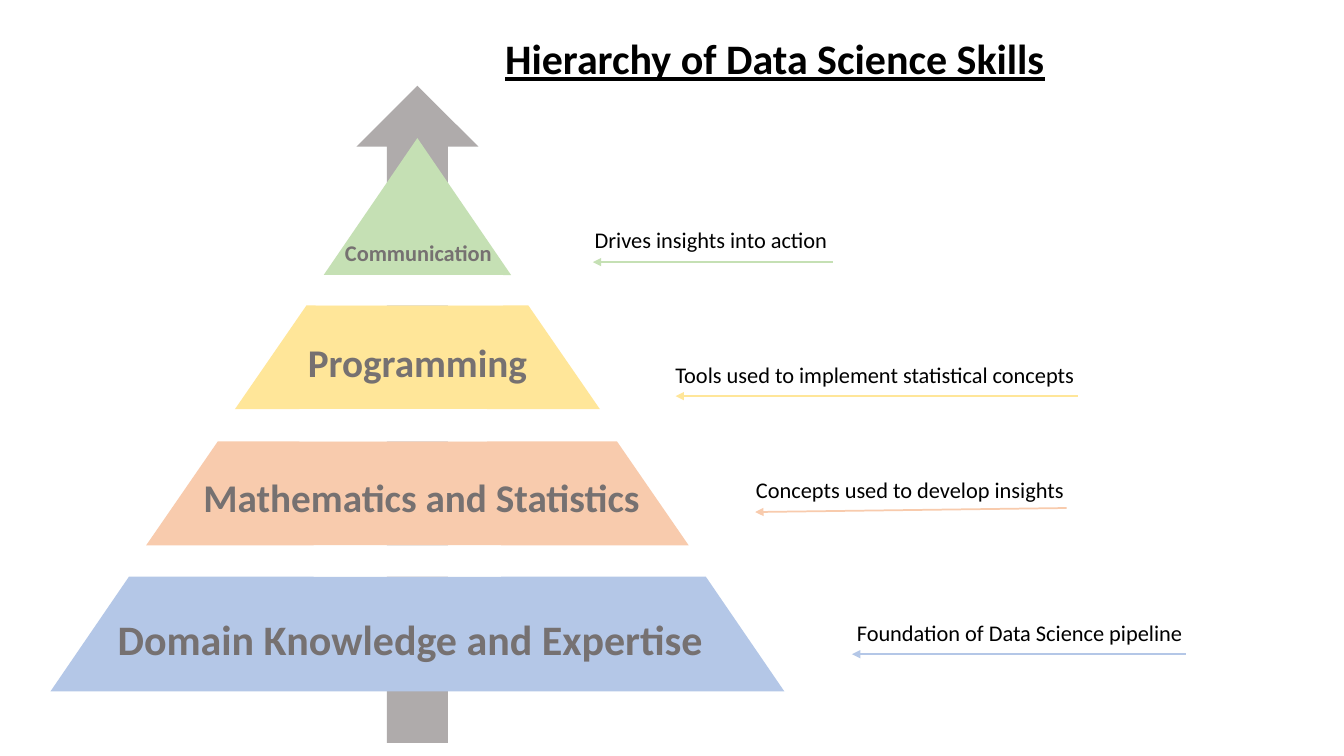
from pptx import Presentation
from pptx.dml.color import RGBColor
from pptx.enum.shapes import MSO_CONNECTOR, MSO_SHAPE
from pptx.enum.text import MSO_ANCHOR, PP_ALIGN
from pptx.oxml.ns import qn
from pptx.util import Inches, Pt
from lxml import etree

UP_ARROW, RECTANGLE = MSO_SHAPE.UP_ARROW, MSO_SHAPE.RECTANGLE
STRAIGHT = MSO_CONNECTOR.STRAIGHT
LEFT, CENTER = PP_ALIGN.LEFT, PP_ALIGN.CENTER
MIDDLE = MSO_ANCHOR.MIDDLE

THEME = {
    "font": "Calibri",
    "text": "000000", "label": "767171", "arrow": "AFABAB", "gap": "FFFFFF",
    "green": "C5E0B4", "yellow": "FFE699", "orange": "F8CBAD", "blue": "B4C7E7",
    "title_size": 30, "note_size": 16, "pointer_width": 1.25,
}

# The grid has square cells of one inch; the pyramid is symmetric about AXIS
CELL = Inches(1)
AXIS = 4.14
ARROW_WIDTH = 1.21
GAP_WIDTH = 1.86
NOTE_WIDTH, NOTE_HEIGHT = 4.36, 0.37
LABEL_HEIGHT = 0.6


def grid(*cells):
    return [round(cell * CELL) for cell in cells]


def write(frame, words, size, color, align=LEFT, bold=False):
    frame.word_wrap = True
    frame.vertical_anchor = MIDDLE
    frame.text = words
    paragraph = frame.paragraphs[0]
    paragraph.alignment = align
    font = paragraph.font
    font.name, font.size, font.bold = THEME["font"], Pt(size), bold
    font.color.rgb = RGBColor.from_string(THEME[color])


prs = Presentation()
prs.slide_width, prs.slide_height = grid(13.33, 7.5)
slide = prs.slides.add_slide(prs.slide_layouts[5])
shapes = slide.shapes

# Title
title = shapes.title
title.left, title.top, title.width, title.height = grid(4.91, 0.27, 6.13, 0.61)
write(title.text_frame, "Hierarchy of Data Science Skills",
      THEME["title_size"], "text", bold=True)
title.text_frame.paragraphs[0].font.underline = True

# Upward arrow behind the pyramid
trunk = shapes.add_shape(
    UP_ARROW, *grid(AXIS - ARROW_WIDTH / 2, 0.85, ARROW_WIDTH, 6.52))
blocks = [(trunk, "arrow")]

# Tiers: color, top, bottom, half widths at top and bottom,
# label, its size and center, note, its corner, pointer from and to
tiers = [
    ("green", 1.37, 2.73, 0, 0.93,
     "Communication", 16, (4.15, 2.51),
     "Drives insights into action", (5.8, 2.19), (8.26, 2.6), (5.88, 2.6)),
    ("yellow", 3.03, 4.06, 1.1, 1.81,
     "Programming", 28, (4.14, 3.59),
     "Tools used to implement statistical concepts",
     (6.6, 3.53), (10.69, 3.93), (6.7, 3.93)),
    ("orange", 4.38, 5.41, 1.98, 2.69,
     "Mathematics and Statistics", 28, (4.18, 4.93),
     "Concepts used to develop insights",
     (7.4, 4.67), (10.58, 5.04), (7.49, 5.08)),
    ("blue", 5.72, 6.86, 2.86, 3.64,
     "Domain Knowledge and Expertise", 30, (4.07, 6.34),
     "Foundation of Data Science pipeline",
     (8.4, 6.09), (11.76, 6.49), (8.45, 6.49)),
]

for (color, top, bottom, half_top, half_bottom, skill, skill_size, center,
     note, corner, start, end) in tiers:
    # Tier outline
    outline = shapes.build_freeform(*grid(AXIS - half_top, top))
    outline.add_line_segments([
        grid(AXIS + half_top, top),
        grid(AXIS + half_bottom, bottom),
        grid(AXIS - half_bottom, bottom),
    ])
    blocks.append((outline.convert_to_shape(), color))

    # Skill label
    label_width = 2 * half_bottom
    label = shapes.add_textbox(*grid(
        center[0] - label_width / 2, center[1] - LABEL_HEIGHT / 2,
        label_width, LABEL_HEIGHT))
    write(label.text_frame, skill, skill_size, "label", CENTER, bold=True)

    # Note with its pointer
    remark = shapes.add_textbox(*grid(*corner, NOTE_WIDTH, NOTE_HEIGHT))
    write(remark.text_frame, note, THEME["note_size"], "text")
    pointer = shapes.add_connector(STRAIGHT, *grid(*start, *end))
    pointer.line.width = Pt(THEME["pointer_width"])
    pointer.line.color.rgb = RGBColor.from_string(THEME[color])
    etree.SubElement(pointer.line._get_or_add_ln(), qn("a:tailEnd"), type="triangle")
    etree.SubElement(pointer._element.spPr, qn("a:effectLst"))

# White gaps that cut the arrow between neighboring tiers
for upper, lower, gap_left in zip(tiers, tiers[1:], (3.13, 2.97, 3.11)):
    gap_top, gap_bottom = upper[2], lower[1]
    gap = shapes.add_shape(
        RECTANGLE, *grid(gap_left, gap_top, GAP_WIDTH, gap_bottom - gap_top))
    blocks.append((gap, "gap"))

# Flat fills without outlines
for block, color in blocks:
    block.shadow.inherit = False
    block.fill.solid()
    block.fill.fore_color.rgb = RGBColor.from_string(THEME[color])
    block.line.fill.background()

prs.save("out.pptx")
